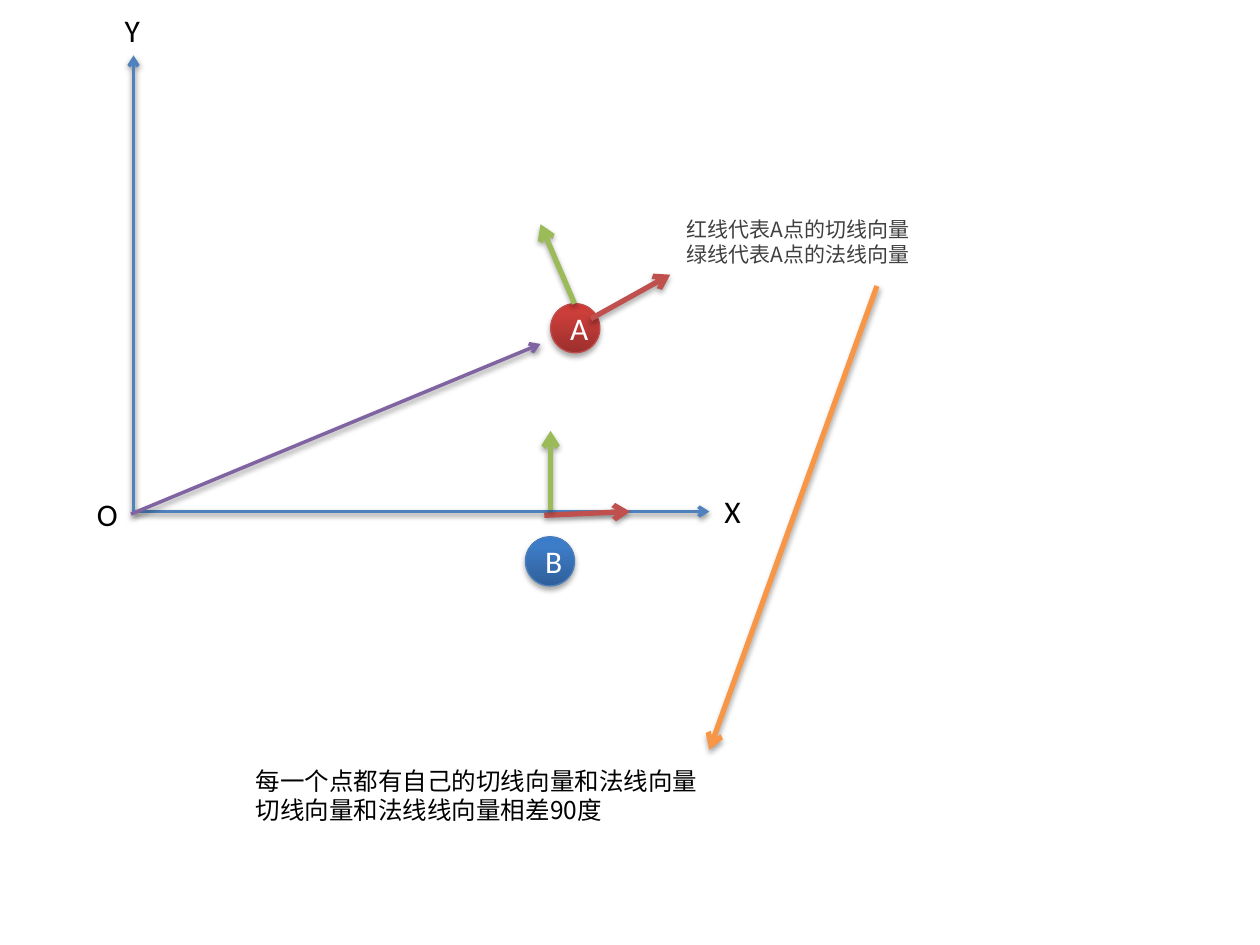
from dataclasses import dataclass

from lxml.etree import SubElement
from pptx import Presentation
from pptx.dml.color import RGBColor
from pptx.enum.shapes import MSO_CONNECTOR, MSO_SHAPE
from pptx.enum.text import MSO_ANCHOR, MSO_AUTO_SIZE, PP_ALIGN
from pptx.oxml import parse_xml
from pptx.oxml.ns import nsdecls, qn
from pptx.slide import Slide
from pptx.util import Inches, Pt

COLORS = {
    "axis": "4F81BD",
    "position": "8064A2",
    "tangent": "C0504D",
    "normal": "9BBB59",
    "pointer": "F79646",
    "text": "000000",
    "note": "404040",
    "point_text": "FFFFFF",
    "a_line": "BF4C48",
    "a_dark": "9C2F2D",
    "a_mid": "CB3E3A",
    "a_light": "CE3B37",
    "b_line": "4B7EBC",
    "b_dark": "2F5F99",
    "b_mid": "3D7CC7",
    "b_light": "3A7CCB",
}
LATIN = "Calibri"
CHINESE = "Noto Sans CJK SC"
DIAMETER = 0.39


@dataclass
class Arrow:
    start: tuple[float, float]
    end: tuple[float, float]
    color: str
    width: float = 3


@dataclass
class Label:
    left: float
    top: float
    width: float
    height: float
    lines: tuple[str, ...]
    size: int = 18
    font: str = LATIN
    color: str = "text"
    wrap: bool = False


@dataclass
class Point:
    left: float
    top: float
    name: str
    palette: str


def add_shadow(properties, distance: int, opacity: int) -> None:
    properties.append(parse_xml(
        f'<a:effectLst {nsdecls("a")}><a:outerShdw blurRad="40000" dist="{distance}" '
        f'dir="5400000" rotWithShape="0"><a:srgbClr val="000000">'
        f'<a:alpha val="{opacity * 1000}"/></a:srgbClr></a:outerShdw></a:effectLst>'
    ))


def style_paragraph(paragraph, size: int, font: str, color: str) -> None:
    paragraph.font.size = Pt(size)
    paragraph.font.color.rgb = RGBColor.from_string(COLORS[color])
    paragraph.font.name = font
    if font == CHINESE:
        defaults = paragraph._p.pPr.find(qn("a:defRPr"))
        SubElement(defaults, qn("a:ea")).set("typeface", font)


def draw_arrow(slide: Slide, arrow: Arrow) -> None:
    connector = slide.shapes.add_connector(
        MSO_CONNECTOR.STRAIGHT, *map(Inches, arrow.start + arrow.end)
    )
    connector.line.color.rgb = RGBColor.from_string(COLORS[arrow.color])
    connector.line.width = Pt(arrow.width)
    properties = connector._element.spPr
    SubElement(properties.find(qn("a:ln")), qn("a:tailEnd")).set("type", "arrow")
    if arrow.width == 2:
        add_shadow(properties, 20000, 38)
    else:
        add_shadow(properties, 23000, 35)


def draw_label(slide: Slide, label: Label) -> None:
    box = slide.shapes.add_textbox(
        *map(Inches, (label.left, label.top, label.width, label.height))
    )
    frame = box.text_frame
    frame.word_wrap = label.wrap
    frame.auto_size = MSO_AUTO_SIZE.SHAPE_TO_FIT_TEXT
    frame.text = "\n".join(label.lines)
    for paragraph in frame.paragraphs:
        style_paragraph(paragraph, label.size, label.font, label.color)


def draw_point(slide: Slide, point: Point) -> None:
    circle = slide.shapes.add_shape(
        MSO_SHAPE.OVAL, *map(Inches, (point.left, point.top, DIAMETER, DIAMETER))
    )
    circle.line.color.rgb = RGBColor.from_string(COLORS[f"{point.palette}_line"])
    circle.line.width = Pt(0.75)
    stops = "".join(
        f'<a:gs pos="{position * 1000}">'
        f'<a:srgbClr val="{COLORS[f"{point.palette}_{shade}"]}"/></a:gs>'
        for position, shade in ((0, "dark"), (80, "mid"), (100, "light"))
    )
    properties = circle._element.spPr
    properties.find(qn("a:ln")).addprevious(parse_xml(
        f'<a:gradFill {nsdecls("a")} rotWithShape="1"><a:gsLst>{stops}</a:gsLst>'
        f'<a:lin ang="16200000" scaled="0"/></a:gradFill>'
    ))
    add_shadow(properties, 23000, 35)
    frame = circle.text_frame
    frame.vertical_anchor = MSO_ANCHOR.MIDDLE
    frame.text = point.name
    paragraph = frame.paragraphs[0]
    paragraph.alignment = PP_ALIGN.CENTER
    style_paragraph(paragraph, 18, LATIN, "point_text")


ORIGIN = (1.06, 4.06)
ELEMENTS = (
    Arrow(ORIGIN, (5.63, 4.06), "axis", 2),
    Arrow(ORIGIN, (1.06, 0.44), "axis", 2),
    Label(5.65, 3.86, 0.33, 0.4, ("X",)),
    Label(0.89, 0.04, 0.32, 0.4, ("Y",)),
    Label(0.67, 3.88, 0.37, 0.4, ("O",)),
    Arrow((1.04, 4.08), (4.29, 2.73), "position", 2),
    Point(4.37, 2.41, "A", "a"),
    Arrow((4.69, 2.53), (5.32, 2.18), "tangent"),
    Arrow((4.56, 2.41), (4.29, 1.78), "normal"),
    Label(5.35, 1.67, 2, 0.5, ("红线代表A点的切线向量", "绿线代表A点的法线向量"),
          12, CHINESE, "note", True),
    Label(1.93, 6.03, 3.74, 0.57,
          ("每一个点都有自己的切线向量和法线向量", "切线向量和法线线向量相差90度"),
          14, CHINESE),
    Arrow((6.96, 2.27), (5.63, 5.95), "pointer"),
    Point(4.17, 4.26, "B", "b"),
    Arrow((4.32, 4.09), (5, 4.06), "tangent"),
    Arrow((4.37, 4.05), (4.37, 3.42), "normal"),
)
DRAWERS = {Arrow: draw_arrow, Label: draw_label, Point: draw_point}


def main() -> None:
    presentation = Presentation()
    presentation.slide_width = Inches(10)
    presentation.slide_height = Inches(7.5)
    slide = presentation.slides.add_slide(presentation.slide_layouts[6])
    for element in ELEMENTS:
        DRAWERS[type(element)](slide, element)
    presentation.save("out.pptx")


if __name__ == "__main__":
    main()
